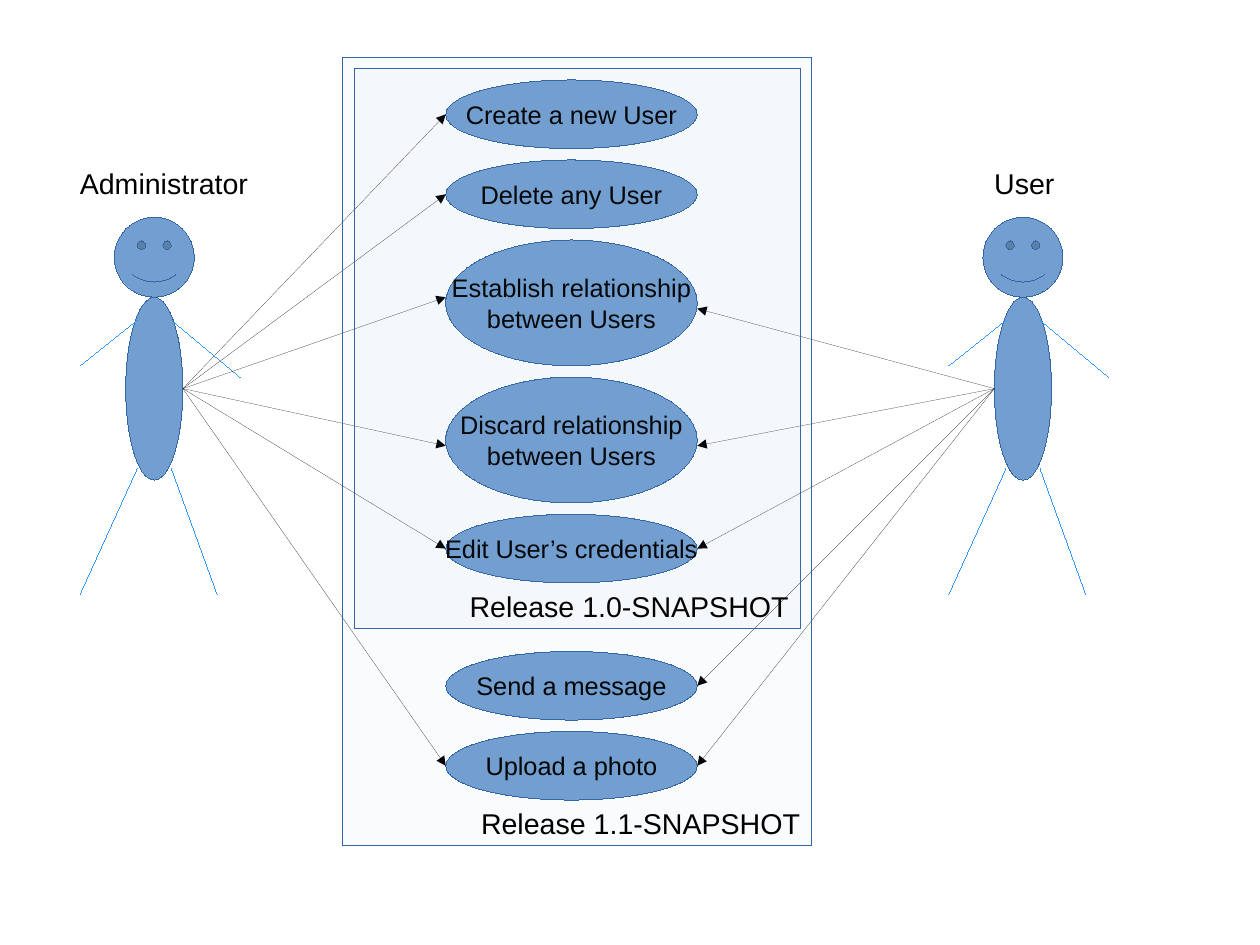
import pptx
import pptx.dml.color
import pptx.enum.shapes
import pptx.enum.text
import pptx.oxml.ns
import pptx.util
import lxml.etree

PX = 9144
HAIRLINE = pptx.util.Emu(1)
COLORS = {
    "figure": "729FCF",
    "outline": "3465A4",
    "limb": "3399FF",
    "ink": "000000",
}
RGB = {name: pptx.dml.color.RGBColor.from_string(value) for name, value in COLORS.items()}
SHAPES = pptx.enum.shapes.MSO_SHAPE
ANCHOR = pptx.enum.text.MSO_ANCHOR
ALIGN = pptx.enum.text.PP_ALIGN

presentation = pptx.Presentation()
presentation.slide_width = pptx.util.Cm(28)
presentation.slide_height = pptx.util.Cm(21)
slide = presentation.slides.add_slide(presentation.slide_layouts[6])


def add_figure(kind, box, text="", size=16, align=ALIGN.CENTER, anchor=ANCHOR.MIDDLE):
    left, top, width, height = [length * PX for length in box]
    if kind is None:
        shape = slide.shapes.add_textbox(left, top, width, height)
    else:
        shape = slide.shapes.add_shape(kind, left, top, width, height)
        shape.shadow.inherit = False
        shape.fill.solid()
        shape.fill.fore_color.rgb = RGB["figure"]
        shape.line.color.rgb = RGB["outline"]
        shape.line.width = HAIRLINE
    frame = shape.text_frame
    frame.word_wrap = kind is None
    frame.vertical_anchor = anchor
    frame.text = text
    font_format = {"name": "Arial", "size": pptx.util.Pt(size)}
    for paragraph in frame.paragraphs:
        paragraph.alignment = align
        for run in paragraph.runs:
            run.font.color.rgb = RGB["ink"]
            for attribute, value in font_format.items():
                setattr(run.font, attribute, value)
    return shape


def add_line(start, end, color, arrow=False):
    points = [length * PX for length in (*start, *end)]
    connector = slide.shapes.add_connector(pptx.enum.shapes.MSO_CONNECTOR.STRAIGHT, *points)
    connector.line.color.rgb = RGB[color]
    connector.line.width = HAIRLINE
    properties = connector._element.spPr
    if arrow:
        line = properties.find(pptx.oxml.ns.qn("a:ln"))
        lxml.etree.SubElement(line, pptx.oxml.ns.qn("a:tailEnd"), type="triangle")
    lxml.etree.SubElement(properties, pptx.oxml.ns.qn("a:effectLst"))


use_cases = [
    ("Create a new User", 70, 60),
    ("Delete any User", 140, 60),
    ("Establish relationship\nbetween Users", 210, 110),
    ("Discard relationship\nbetween Users", 330, 110),
    ("Edit User’s credentials", 450, 60),
    ("Send a message", 570, 60),
    ("Upload a photo", 640, 60),
]
for text, top, height in use_cases:
    add_figure(SHAPES.OVAL, (390, top, 220, height), text)

limbs = [
    ((20, 280), (-30, 320)),
    ((50, 280), (110, 330)),
    ((20, 410), (-30, 520)),
    ((50, 410), (90, 520)),
]
actors = [
    ("Administrator", 100, 60, 160, 390, [100, 170, 260, 390, 480, 670]),
    ("User", 860, 860, 870, 610, [270, 390, 480, 600, 670]),
]
for name, left, label_left, hub, target, arrow_ends in actors:
    face = add_figure(SHAPES.SMILEY_FACE, (left, 190, 70, 70))
    face.adjustments[0] = 0.093
    add_figure(SHAPES.OVAL, (left + 10, 260, 50, 160))
    for (start_x, start_y), (end_x, end_y) in limbs:
        add_line((left + start_x, start_y), (left + end_x, end_y), "limb")
    add_figure(None, (label_left, 140, 170, 38), name, 18, ALIGN.LEFT, ANCHOR.TOP)
    for arrow_end in arrow_ends:
        add_line((hub, 340), (target, arrow_end), "ink", arrow=True)

releases = [
    ("Release 1.0-SNAPSHOT", (310, 60, 390, 490)),
    ("Release 1.1-SNAPSHOT", (300, 50, 410, 690)),
]
for text, box in releases:
    release = add_figure(SHAPES.RECTANGLE, box, text, 18, ALIGN.RIGHT, ANCHOR.BOTTOM)
    fill_color = release._element.spPr.find(
        pptx.oxml.ns.qn("a:solidFill") + "/" + pptx.oxml.ns.qn("a:srgbClr")
    )
    lxml.etree.SubElement(fill_color, pptx.oxml.ns.qn("a:alpha"), val="3000")

presentation.save("out.pptx")
